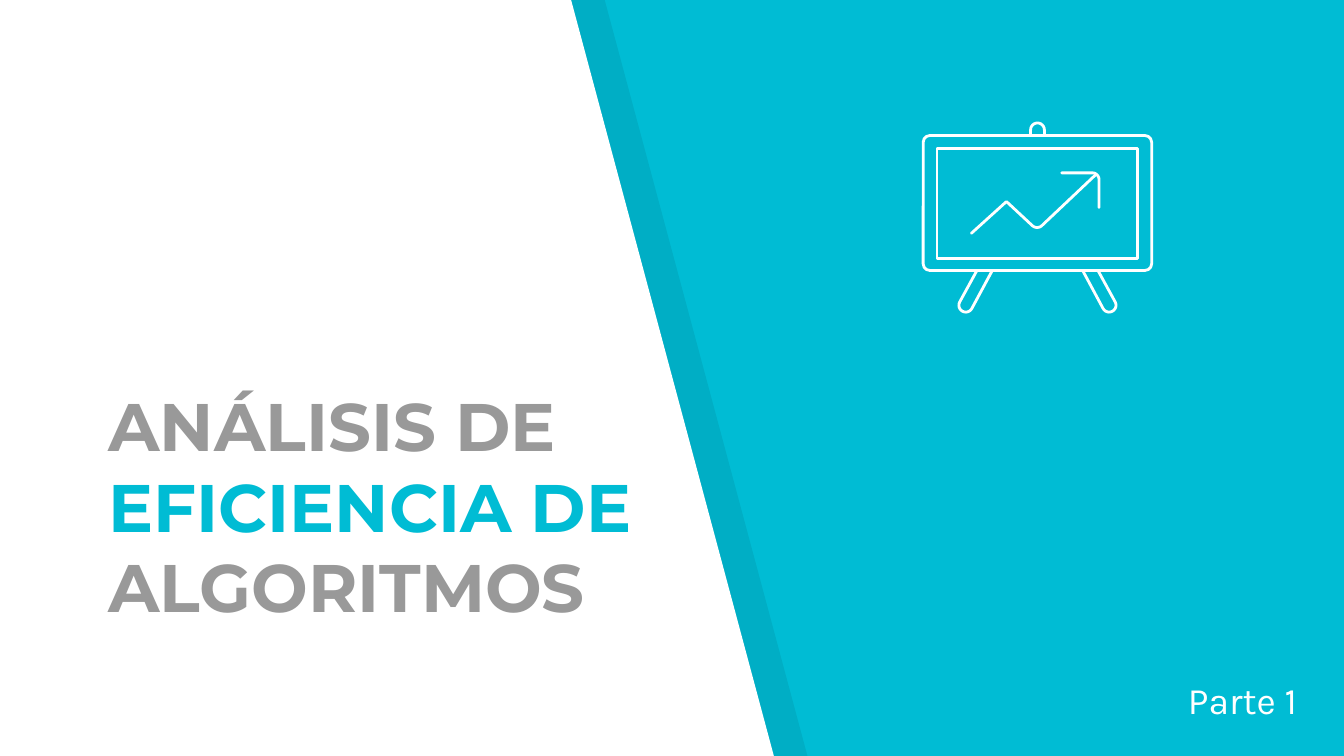
"""Build the opening slide of a talk on the efficiency of algorithms."""
from dataclasses import dataclass
from math import cos, radians, sin

from lxml import etree
from pptx import Presentation
from pptx.dml.color import RGBColor
from pptx.enum.shapes import MSO_SHAPE
from pptx.enum.text import MSO_ANCHOR
from pptx.oxml.ns import qn
from pptx.util import Pt

Point = tuple[float, float]

CYAN = RGBColor(0x00, 0xBC, 0xD4)
WHITE = RGBColor(0xFF, 0xFF, 0xFF)
BLACK = RGBColor(0x00, 0x00, 0x00)
GREY = RGBColor(0x99, 0x99, 0x99)
ROUNDED = MSO_SHAPE.ROUNDED_RECTANGLE
RECTANGLE = MSO_SHAPE.RECTANGLE
TOP = MSO_ANCHOR.TOP
BOTTOM = MSO_ANCHOR.BOTTOM

SLIDE_WIDTH, SLIDE_HEIGHT = 720, 405
SHADE_WIDTH = 18
SHADE_OPACITY = 7
ICON_AXIS = 555.8
BOARD_TOP, BOARD_BOTTOM = 72.6, 144.9


@dataclass(frozen=True)
class Panel:
    left: float
    color: RGBColor
    opacity: int


@dataclass(frozen=True)
class Frame:
    preset: MSO_SHAPE
    left: float
    top: float
    width: float
    height: float


@dataclass(frozen=True)
class Caption:
    left: float
    top: float
    width: float
    height: float
    anchor: MSO_ANCHOR
    font: dict
    words: tuple[tuple[str, RGBColor], ...]


def arc(center: Point, radius: float, start: int, end: int) -> list[Point]:
    steps = 12
    angles = [radians(start + (end - start) * i / steps) for i in range(steps + 1)]
    return [(center[0] + radius * cos(a), center[1] + radius * sin(a)) for a in angles]


def mirror(points: list[Point]) -> list[Point]:
    return [(2 * ICON_AXIS - x, y) for x, y in points]


def draw_outline(shapes, points: list[Point], close: bool = False):
    start, *rest = [(Pt(x), Pt(y)) for x, y in points]
    builder = shapes.build_freeform(*start)
    builder.add_line_segments(rest, close=close)
    outline = builder.convert_to_shape()
    outline.shadow.inherit = False
    return outline


def draw_panel(shapes, panel: Panel) -> None:
    corners = [(max(panel.left, 0), 0), (panel.left + 306, 0),
               (panel.left + 414.6, SLIDE_HEIGHT), (max(panel.left, 0), SLIDE_HEIGHT)]
    wedge = draw_outline(shapes, corners, close=True)
    wedge.line.fill.background()
    wedge.fill.solid()
    wedge.fill.fore_color.rgb = panel.color
    if panel.opacity < 100:
        color = wedge._element.spPr.find(f"{qn('a:solidFill')}/{qn('a:srgbClr')}")
        etree.SubElement(color, qn("a:alpha"), val=str(panel.opacity * 1000))


def style_stroke(part) -> None:
    part.fill.background()
    part.line.color.rgb = WHITE
    part.line.width = Pt(1.5)
    stroke = part._element.spPr.find(qn("a:ln"))
    stroke.set("cap", "rnd")
    etree.SubElement(stroke, qn("a:round"))


def draw_frame(shapes, frame: Frame) -> None:
    border = shapes.add_shape(frame.preset, Pt(frame.left), Pt(frame.top),
                              Pt(frame.width), Pt(frame.height))
    border.shadow.inherit = False
    if frame.preset == ROUNDED:
        border.adjustments[0] = 0.05
    style_stroke(border)


def draw_caption(shapes, caption: Caption) -> None:
    box = shapes.add_textbox(Pt(caption.left), Pt(caption.top),
                             Pt(caption.width), Pt(caption.height))
    frame = box.text_frame
    layout = {"word_wrap": True, "vertical_anchor": caption.anchor}
    margins = {f"margin_{side}": Pt(7.2) for side in ("left", "top", "right", "bottom")}
    for name, value in (layout | margins).items():
        setattr(frame, name, value)
    for text, color in caption.words:
        run = frame.paragraphs[0].add_run()
        run.text = text
        run.font.color.rgb = color
        for name, value in caption.font.items():
            setattr(run.font, name, value)


LEG = [(523.4, BOARD_BOTTOM), *arc((517.4, 163.5), 3.7, 208, 28), (531.6, BOARD_BOTTOM)]
PEG = [(ICON_AXIS - 3.7, BOARD_TOP), *arc((ICON_AXIS, 69.6), 3.7, 180, 360),
       (ICON_AXIS + 3.7, BOARD_TOP)]
TREND = [(587, 93.6), *arc((555.6, 118.1), 3.8, 45, 135), (539.2, 108), (520.4, 125)]
ARROW_TIP = [(568.8, 92.6), *arc((585.2, 96.2), 3.6, -90, 0), (588.8, 111.1)]
STROKES = (PEG, LEG, mirror(LEG), TREND, ARROW_TIP)

PANELS = (Panel(SHADE_WIDTH, BLACK, SHADE_OPACITY), Panel(0, WHITE, 100))
FRAMES = (
    Frame(ROUNDED, 494.6, BOARD_TOP, 122.4, BOARD_BOTTOM - BOARD_TOP),
    Frame(RECTANGLE, 502, 79.6, 107.6, 58.9),
)
CAPTIONS = (
    Caption(51, 249.8, 332.6, 93, BOTTOM,
            {"name": "Montserrat", "size": Pt(36), "bold": True},
            (("ANÁLISIS DE ", GREY), ("EFICIENCIA DE ", CYAN), ("ALGORITMOS", GREY))),
    Caption(629.3, 355.7, 90.7, 49, TOP,
            {"name": "Karla", "size": Pt(20)}, (("Parte 1", WHITE),)),
)


def main() -> None:
    deck = Presentation()
    deck.slide_width, deck.slide_height = Pt(SLIDE_WIDTH), Pt(SLIDE_HEIGHT)
    slide = deck.slides.add_slide(deck.slide_layouts[6])
    slide.background.fill.solid()
    slide.background.fill.fore_color.rgb = CYAN
    for panel in PANELS:
        draw_panel(slide.shapes, panel)
    easel = slide.shapes.add_group_shape().shapes
    for frame in FRAMES:
        draw_frame(easel, frame)
    for points in STROKES:
        style_stroke(draw_outline(easel, points))
    for caption in CAPTIONS:
        draw_caption(slide.shapes, caption)
    deck.save("out.pptx")


if __name__ == "__main__":
    main()
